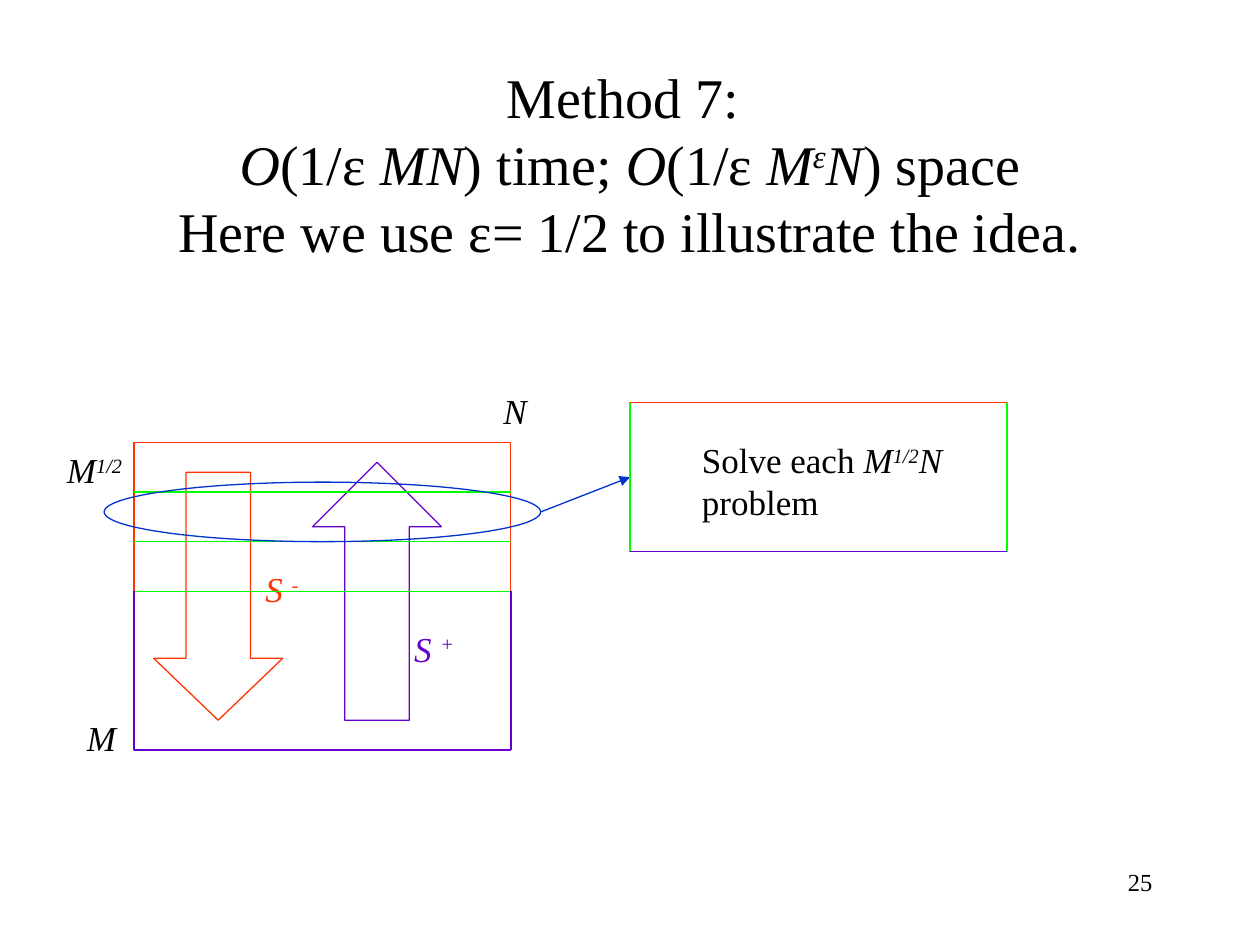
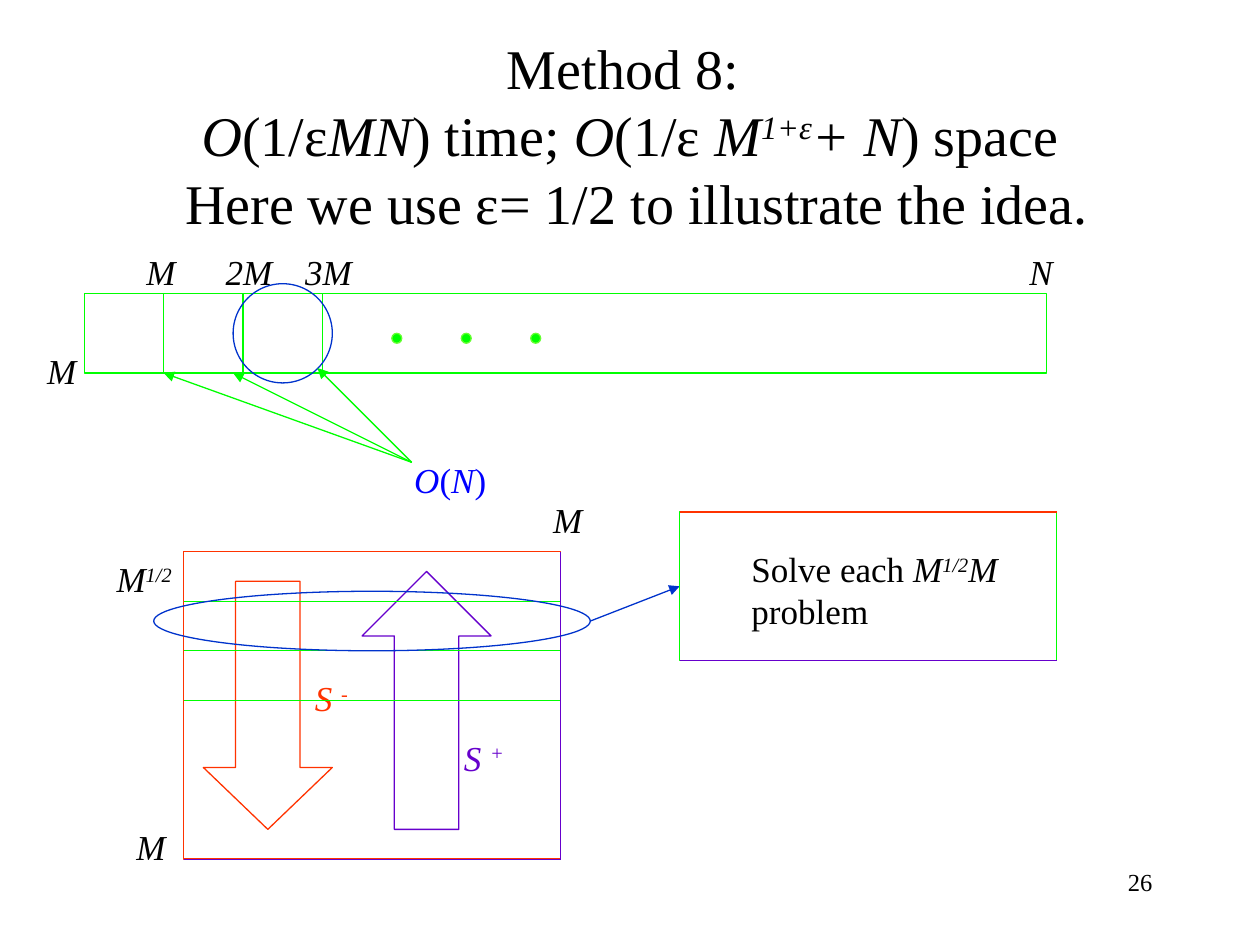
import dataclasses
import lxml.etree
import pptx
import pptx.dml.color
import pptx.enum.shapes
import pptx.enum.text
import pptx.oxml.ns
import pptx.util

Cm = pptx.util.Cm
Kind = pptx.enum.shapes.MSO_SHAPE
Align = pptx.enum.text.PP_ALIGN


@dataclasses.dataclass(frozen=True)
class Theme:
    font: str = "Times New Roman"
    black: str = "000000"
    red: str = "FF3300"
    green: str = "00FF00"
    lime: str = "66FF33"
    plum: str = "6600CC"
    navy: str = "0033CC"
    blue: str = "0000FF"
    head: int = 32
    body: int = 20
    foot: int = 14
    stroke: float = 0.75


THEME = Theme()


def color(code):
    return pptx.dml.color.RGBColor.from_string(code)


def add_runs(para, line, size, ink):
    for i, chunk in enumerate(line.split("*")):
        for j, piece in enumerate(chunk.split("^")):
            if not piece:
                continue
            run = para.add_run()
            run.text = piece
            run.font.name = THEME.font
            run.font.size = pptx.util.Pt(size)
            run.font.color.rgb = color(ink)
            run.font.italic = i % 2 == 1
            if j % 2:
                run.font._element.set("baseline", "30000")


class Region:
    def __init__(self, slide, left, top):
        self.shapes = slide.shapes
        self.left = left
        self.top = top

    def place(self, x, y):
        return Cm(self.left + x), Cm(self.top + y)

    def text(self, words, x, y, width, height=1.12, size=THEME.body,
             ink=THEME.black, align=Align.LEFT):
        box = self.shapes.add_textbox(*self.place(x, y), Cm(width), Cm(height))
        frame = box.text_frame
        frame.word_wrap = True
        para = frame.paragraphs[0]
        para.alignment = align
        for i, line in enumerate(words.split("\n")):
            if i:
                para.add_line_break()
            add_runs(para, line, size, ink)
        return frame

    def shape(self, kind, x, y, width, height, ink, fill=None):
        item = self.shapes.add_shape(kind, *self.place(x, y), Cm(width), Cm(height))
        item.shadow.inherit = False
        if fill:
            item.fill.solid()
            item.fill.fore_color.rgb = color(fill)
        else:
            item.fill.background()
        item.line.color.rgb = color(ink)
        item.line.width = pptx.util.Pt(THEME.stroke)
        return item

    def line(self, start, end, ink, arrow=False):
        item = self.shapes.add_connector(
            pptx.enum.shapes.MSO_CONNECTOR.STRAIGHT,
            *self.place(*start), *self.place(*end))
        item.line.color.rgb = color(ink)
        item.line.width = pptx.util.Pt(THEME.stroke)
        qn = pptx.oxml.ns.qn
        if arrow:
            lxml.etree.SubElement(item.line._get_or_add_ln(), qn("a:tailEnd"),
                                  type="triangle")
        lxml.etree.SubElement(item._element.spPr, qn("a:effectLst"))


def add_frame(deck, title, top, page):
    slide = deck.slides.add_slide(deck.slide_layouts[6])
    area = Region(slide, 0, 0)
    area.text(page, 18.2, 17.35, 5.28, 1.27, THEME.foot, align=Align.RIGHT)
    frame = area.text(title, 1.9, top, 21.6, 3.18, THEME.head, align=Align.CENTER)
    frame.vertical_anchor = pptx.enum.text.MSO_ANCHOR.MIDDLE
    return slide


def draw_grid(slide, left, top, side, edges):
    wide, high = 7.6, 6.2
    area = Region(slide, left, top)
    area.shape(Kind.RECTANGLE, 0, 0, wide, high, THEME.red)
    area.text("*S ^-^*", 2.4, 2.4, 1.8, ink=THEME.red)
    area.text("*S ^+^*", 5.4, 3.6, 2.6, ink=THEME.plum)
    down = area.shape(Kind.DOWN_ARROW, 0.4, 0.6, 2.6, 5, THEME.red)
    down.adjustments[1] = 0.48
    area.shape(Kind.UP_ARROW, 3.6, 0.4, 2.6, 5.2, THEME.plum)
    for row in (1, 2, 3):
        area.line((0, row), (wide, row), THEME.green)
    area.line((0, high), (wide, high), THEME.plum)
    for x, y in edges:
        area.line((x * wide, y), (x * wide, high), THEME.plum)
    area.shape(Kind.OVAL, -0.6, 0.8, 8.8, 1.2, THEME.navy)
    area.text("*M*", -1.2, 5.4, 1.6)
    area.text(f"*{side}*", 7.2, -1.2, 1.2)
    area.text("*M^1/2^*", -1.6, 0, 2.5)
    area.line((8.2, 1.4), (10, 0.7), THEME.navy, arrow=True)
    draw_task(slide, left + 10, top - 0.8, side)


def draw_task(slide, left, top, side):
    wide, high = 7.6, 3
    area = Region(slide, left, top)
    area.shape(Kind.RECTANGLE, 0, 0, wide, high, THEME.green)
    area.line((0, 0), (wide, 0), THEME.red)
    area.line((0, high), (wide, high), THEME.plum)
    area.text(f"Solve each *M^1/2^{side} *problem", 1.2, 0.6, 5.8, 1.96)


def draw_strip(slide, left, top):
    step = 1.6
    area = Region(slide, left, top)
    area.shape(Kind.RECTANGLE, 0, 0, 19.4, step, THEME.green)
    area.text("*M*", -1, 1, 1.6)
    area.text("*N*", 18.8, -1, 1.2)
    for i, mark in enumerate(("M", "2M", "3M")):
        x = (i + 1) * step
        area.line((x, 0), (x, step), THEME.green)
        area.text(f"*{mark}*", x - 0.6, -1, 1.6)
        area.shape(Kind.OVAL, 6.2 + 1.4 * i, 0.8, 0.2, 0.2, THEME.lime, THEME.green)
    area.shape(Kind.OVAL, 3, -0.2, 2, 2, THEME.navy)
    for tip in ((1.6, 1.6), (3, 1.6), (4.7, 1.5)):
        area.line((6.6, 3.4), tip, THEME.green, arrow=True)
    area.text("*O*(*N*)", 6.4, 3.2, 2.6, ink=THEME.blue)


def main():
    deck = pptx.Presentation()
    deck.slide_width = Cm(25.4)
    deck.slide_height = Cm(19.05)
    hint = "Here we use ε= 1/2 to illustrate the idea."

    slide = add_frame(
        deck, "Method 7: \n*O*(1/ε *MN*) time; *O*(1/ε *M^ε^N*) space\n" + hint,
        1.7, "25")
    draw_grid(slide, 2.7, 8.92, "N", ((0, 3), (1, 3)))

    slide = add_frame(
        deck, "Method 8: \n*O*(1/ε*MN*) time; *O*(1/ε *M^1+ε^+ N*) space\n " + hint,
        1.12, "26")
    draw_strip(slide, 1.7, 5.92)
    draw_grid(slide, 3.7, 11.12, "M", ((1, 0),))

    deck.save("out.pptx")


if __name__ == "__main__":
    main()
